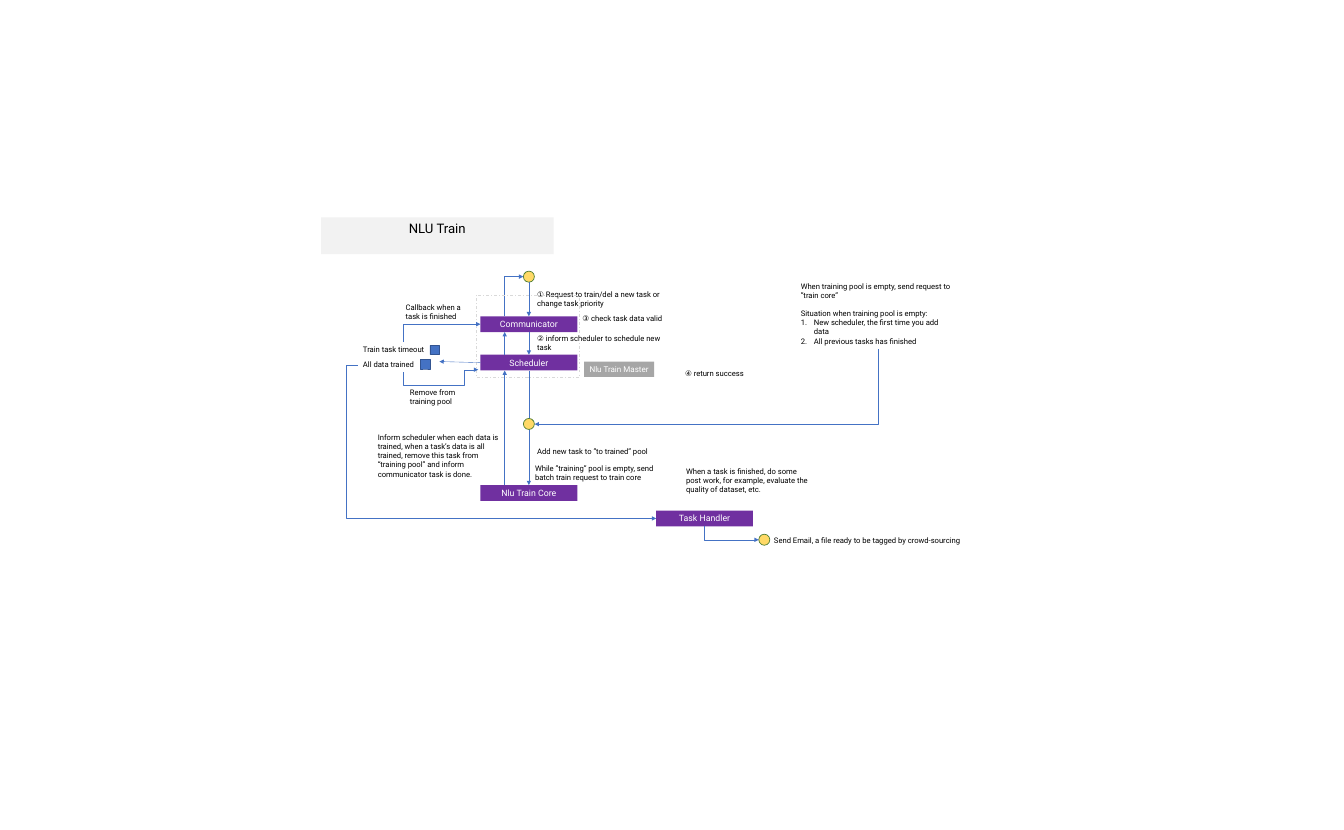
from dataclasses import dataclass
from lxml.etree import SubElement as Sub
from pptx import Presentation
from pptx.dml.color import RGBColor as Rgb
from pptx.enum.dml import MSO_LINE as Dash
from pptx.enum.shapes import MSO_CONNECTOR as Link, MSO_SHAPE as Form
from pptx.enum.text import MSO_ANCHOR as Anchor, PP_ALIGN as Align
from pptx.oxml.ns import qn
from pptx.util import Pt


@dataclass(frozen=True)
class Theme:
    font: str = "Roboto"
    ink: str = "000000"
    white: str = "FFFFFF"
    band: str = "F2F2F2"
    node: str = "7030A0"
    tag: str = "A6A6A6"
    dot: str = "FFD966"
    rim: str = "538035"
    blue: str = "4472C4"
    edge: str = "325491"
    frame: str = "D9D9D9"
    title: float = 18
    label: float = 12
    small: float = 11
    note: float = 10.5


T = Theme()
NODE_W, NODE_H = 132.5, 21.6
DOT, MARK = 15.1, 13
ONE, TWO, THREE = 20.2, 32.4, 45.4
WIDE, SLIM = 185.8, 99.4


def put(item, fmt):
    for key, val in fmt.items():
        setattr(item, key, val)


def style(para, text, size, color, align=Align.LEFT):
    put(para, {"text": text, "alignment": align})
    put(para.font, {"size": Pt(size), "name": T.font})
    para.font.color.rgb = Rgb.from_string(color)


def shape(page, form, box, fill=None, line=None):
    item = page.shapes.add_shape(form, *map(Pt, box))
    item.shadow.inherit = False
    if fill:
        item.fill.solid()
        item.fill.fore_color.rgb = Rgb.from_string(fill)
    else:
        item.fill.background()
    if line:
        item.line.color.rgb = Rgb.from_string(line)
        item.line.width = Pt(1)
    else:
        item.line.fill.background()
    return item


def block(page, box, text, fill=T.node, size=T.label, color=T.white, anchor=Anchor.MIDDLE):
    frame = shape(page, Form.RECTANGLE, box, fill).text_frame
    put(frame, {"word_wrap": True, "vertical_anchor": anchor})
    style(frame.paragraphs[0], text, size, color, Align.CENTER)


def node(page, x, y, text):
    block(page, (x, y, NODE_W, NODE_H), text)


def dot(page, x, y):
    shape(page, Form.OVAL, (x, y, DOT, DOT), T.dot, T.rim)


def note(page, box, *lines):
    frame = page.shapes.add_textbox(*map(Pt, box)).text_frame
    frame.word_wrap = True
    for i, text in enumerate(lines):
        para = frame.add_paragraph() if i else frame.paragraphs[0]
        style(para, text, T.note, T.ink)
    return frame.paragraphs


def arrow(page, start, end, kind=Link.STRAIGHT):
    item = page.shapes.add_connector(kind, *map(Pt, (*start, *end)))
    item.line.color.rgb = Rgb.from_string(T.blue)
    item.line.width = Pt(0.5)
    Sub(item.line._get_or_add_ln(), qn("a:tailEnd"), type="triangle")
    Sub(item._element.spPr, qn("a:effectLst"))
    return item


def bend(page, start, end, turn, parts=2, adjust=()):
    mid_x, mid_y = (start[0] + end[0]) / 2, (start[1] + end[1]) / 2
    cos, sin = {90: (0, 1), 180: (-1, 0), 270: (0, -1)}[turn]

    def spin(x, y):
        dx, dy = x - mid_x, y - mid_y
        return mid_x + dx * cos + dy * sin, mid_y - dx * sin + dy * cos

    prop = arrow(page, spin(*start), spin(*end), Link.ELBOW)._element.spPr
    prop.find(qn("a:xfrm")).set("rot", str(turn * 60000))
    geom = prop.find(qn("a:prstGeom"))
    geom.set("prst", f"bentConnector{parts}")
    guide = geom.find(qn("a:avLst"))
    for i, val in enumerate(adjust, 1):
        Sub(guide, qn("a:gd"), name=f"adj{i}", fmla=f"val {round(val * 100000)}")


def header(page, box):
    block(page, box, "NLU Train", T.band, T.title, T.ink, Anchor.TOP)


def master(page, box):
    x, y, w, h = box
    left, high, low = x + 5.8, y + 28.8, y + 81.4
    up, down = left + NODE_W / 4, left + NODE_W / 2
    base = high + NODE_H
    node(page, left, high, "Communicator")
    node(page, left, low, "Scheduler")
    dot(page, down - DOT / 2, y - 33)
    arrow(page, (down, y - 18), (down, high))
    arrow(page, (down, base), (down, low))
    arrow(page, (up, low), (up, base))
    bend(page, (up, high), (down - DOT / 2, y - 25.4), 90)
    for dx, dy, wide, tall, text in (
        (76.3, -10.8, WIDE, TWO, "① Request to train/del a new task or change task priority"),
        (76.3, 49, WIDE, TWO, "② inform scheduler to schedule new task"),
        (138.2, 21.6, WIDE, ONE, "③ check task data valid"),
        (278.6, 97.2, SLIM, ONE, "④ return success"),
    ):
        note(page, (x + dx, y + dy, wide, tall), text)
    rim = shape(page, Form.RECTANGLE, box, line=T.frame)
    rim.line.dash_style = Dash.DASH_DOT
    block(page, (x + 147.6, y + 90.7, 95.8, 20.9), "Nlu Train Master", T.tag, T.small)


def core(page, box):
    x, y, w, h = box
    top = y + h - NODE_H
    up, down = x + w / 4, x + w / 2
    node(page, x, top, "Nlu Train Core")
    arrow(page, (down, y), (down, top))
    arrow(page, (up, top), (up, y))
    dot(page, down - DOT / 2, y + 65.5)
    for dx, dy, tall, text in (
        (70.5, 101.5, ONE, "Add new task to ”to trained” pool"),
        (67.6, 123.8, TWO, "While ”training” pool is empty, send batch train request to train core"),
        (-147.6, 81.3, 70.6, "Inform scheduler when each data is trained, when a task’s data is all "
         "trained, remove this task from “training pool” and inform communicator task is done."),
    ):
        note(page, (x + dx, y + dy, WIDE, tall), text)


def pool(page, box):
    x, y, w, h = box
    note(page, (x, y, w, ONE), "Train task timeout")
    note(page, (x, y + 20.9, w, ONE), "All data trained")
    for dx, dy in ((98.6, 4.3), (85.7, 23.8)):
        shape(page, Form.RECTANGLE, (x + dx, y + dy, MARK, MARK), T.blue, T.edge)
    note(page, (x + 58.3, y - 56.9, SLIM, TWO), "Callback when a task is finished")
    note(page, (x + 64.1, y + 59, SLIM, TWO), "Remove from training pool")
    mid = x + w / 2
    arrow(page, (x + 167.8, y + 28.1), (x + 111.6, y + 26.6))
    bend(page, (mid, y), (x + 167.8, y - 24.5), 90)
    bend(page, (mid, y + 41.2), (x + 164.9, y + 37.8), 90, 4, (-5.36, 0.81))
    bend(page, (x, y + 31), (x + 408.2, y + 241.2), 180, 3, (-0.04,))


def handler(page, box):
    x, y, w, h = box
    node(page, x, y, "Task Handler")
    dot(page, x + 140.4, y + 32.4)
    bend(page, (x + w / 2, y + h), (x + 140.4, y + 40), 270)
    note(page, (x + 154.1, y + 31, 298, ONE), "Send Email, a file ready to be tagged by crowd-sourcing")
    note(page, (x + 33.9, y - 63.4, WIDE, THREE),
         "When a task is finished, do some post work, for example, evaluate the quality of dataset, etc.")


def empty(page, box):
    x, y, w, h = box
    paras = note(page, box, "When training pool is empty, send request to ”train core”",
                 "Situation when training pool is empty:",
                 "New scheduler, the first time you add data", "All previous tasks has finished")
    paras[1].space_before = Pt(12.3)
    for para in paras[2:]:
        prop = para._p.get_or_add_pPr()
        prop.set("marL", str(Pt(18)))
        prop.set("indent", str(Pt(-18)))
        Sub(prop, qn("a:buAutoNum"), type="arabicPeriod")
    bend(page, (x + w / 2, y + h), (x - 357.1, y + 198.7), 90)


def main():
    deck = Presentation()
    put(deck, {"slide_width": Pt(1838.88), "slide_height": Pt(1135.44)})
    page = deck.slides.add_slide(deck.slide_layouts[6])
    for draw, box in (
        (header, (439.2, 297.4, 318.2, 50.4)),
        (master, (651.6, 403.9, 141.1, 112.3)),
        (core, (657.4, 506.9, NODE_W, 178.5)),
        (pool, (489.6, 468, 124.6, 41)),
        (handler, (897.8, 698.4, NODE_W, NODE_H)),
        (empty, (1088.6, 381.6, 225.4, 96.5)),
    ):
        draw(page, box)
    deck.save("out.pptx")


if __name__ == "__main__":
    main()
